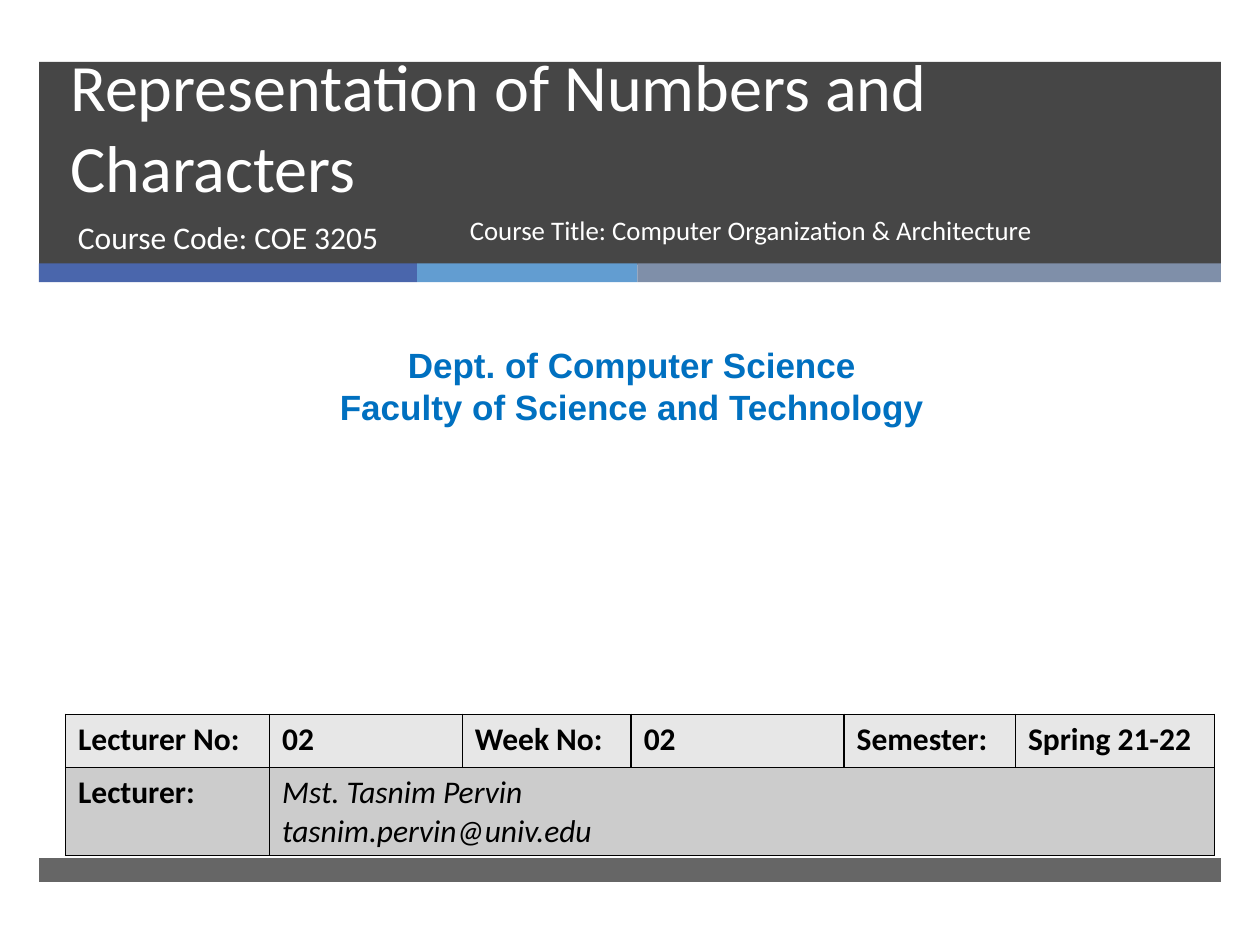
from lxml.etree import SubElement
from pptx import Presentation
from pptx.dml.color import RGBColor
from pptx.enum.shapes import MSO_SHAPE as Shape
from pptx.enum.text import MSO_ANCHOR as Anchor, PP_ALIGN as Align
from pptx.oxml.ns import qn
from pptx.util import Inches, Pt

LEFT, WIDTH = 0.31, 9.38
DARK, WHITE, BLACK, BLUE = "262626", "FFFFFF", "000000", "0070C0"
STRIPES = [(3, "4A66AC"), (1.75, "629DD1"), (4.63, "7F8FA9")]
COLUMN_WIDTHS = [1.62, 1.53, 1.34, 1.69, 1.36, 1.58]
ROW_HEIGHTS = [0.42, 0.69]
ROW_FILLS = ["E7E7E7", "CCCCCC"]
DETAILS = [
    ["Lecturer No:", "02", "Week No:", "02", "Semester:", "Spring 21-22"],
    ["Lecturer:", "Mst. Tasnim Pervin\ntasnim.pervin@univ.edu"],
]


def paint(fill, color):
    fill.solid()
    fill.fore_color.rgb = RGBColor.from_string(color)


def add_bar(slide, left, top, width, height, color, opacity=100):
    bar = slide.shapes.add_shape(Shape.RECTANGLE, Inches(left), Inches(top),
                                 Inches(width), Inches(height))
    bar.shadow.inherit = False
    bar.line.fill.background()
    paint(bar.fill, color)
    if opacity < 100:
        color_xml = bar._element.spPr.find(qn("a:solidFill"))[0]
        SubElement(color_xml, qn("a:alpha"), val=str(opacity * 1000))


def write(frame, text, size, color, font="Calibri", bold=False, italic=False,
          align=Align.LEFT, spacing=None):
    frame.text = text
    for paragraph in frame.paragraphs:
        paragraph.alignment = align
        paragraph.line_spacing = spacing
        for run in paragraph.runs:
            run.font.name = font
            run.font.size = Pt(size)
            run.font.bold = bold
            run.font.italic = italic
            run.font.color.rgb = RGBColor.from_string(color)


def add_text(slide, left, top, width, height, text, size, color,
             anchor=Anchor.TOP, **style):
    box = slide.shapes.add_textbox(Inches(left), Inches(top),
                                   Inches(width), Inches(height))
    box.text_frame.word_wrap = True
    box.text_frame.vertical_anchor = anchor
    write(box.text_frame, text, size, color, **style)


def add_borders(cell):
    """Draw a 1 pt black line on each side; borders must precede the fill."""
    properties = cell._tc.get_or_add_tcPr()
    for side in ("lnL", "lnR", "lnT", "lnB"):
        line = SubElement(properties, qn(f"a:{side}"), w=str(Pt(1)))
        SubElement(SubElement(line, qn("a:solidFill")), qn("a:srgbClr"), val=BLACK)


def add_details_table(slide, left, top):
    table = slide.shapes.add_table(
        len(ROW_HEIGHTS), len(COLUMN_WIDTHS), Inches(left), Inches(top),
        Inches(sum(COLUMN_WIDTHS)), Inches(sum(ROW_HEIGHTS))).table
    for column, width in zip(table.columns, COLUMN_WIDTHS):
        column.width = Inches(width)
    for row, height, fill in zip(table.rows, ROW_HEIGHTS, ROW_FILLS):
        row.height = Inches(height)
        for cell in row.cells:
            add_borders(cell)
            paint(cell.fill, fill)
    table.cell(1, 1).merge(table.cell(1, 5))
    for r, texts in enumerate(DETAILS):
        for c, text in enumerate(texts):
            is_lecturer = (r, c) == (1, 1)
            write(table.cell(r, c).text_frame, text, 18, BLACK,
                  bold=not is_lecturer, italic=is_lecturer)


def main():
    prs = Presentation()
    prs.slide_width, prs.slide_height = Inches(10), Inches(7.5)
    slide = prs.slides.add_slide(prs.slide_layouts[6])

    add_bar(slide, LEFT, 0.49, WIDTH, 1.61, DARK, opacity=85)
    stripe_left = LEFT
    for width, color in STRIPES:
        add_bar(slide, stripe_left, 2.09, width, 0.15, color)
        stripe_left += width
    add_bar(slide, LEFT, 6.81, WIDTH, 0.19, DARK, opacity=70)

    add_text(slide, 0.46, 0.49, 8.54, 1.19, "Representation of Numbers and Characters",
             37.8, WHITE, anchor=Anchor.BOTTOM, spacing=Pt(46))
    add_text(slide, 0.52, 1.68, 3.05, 0.53, "Course Code: COE 3205", 18, WHITE)
    add_text(slide, 0.08, 2.68, 9.87, 0.77,
             "Dept. of Computer Science\nFaculty of Science and Technology",
             20, BLUE, font="Arial", bold=True, align=Align.CENTER)
    add_details_table(slide, 0.52, 5.67)
    add_text(slide, 3.63, 1.68, 4.69, 0.53,
             "Course Title: Computer Organization & Architecture",
             15.3, WHITE, spacing=0.9)

    prs.save("out.pptx")


if __name__ == "__main__":
    main()
